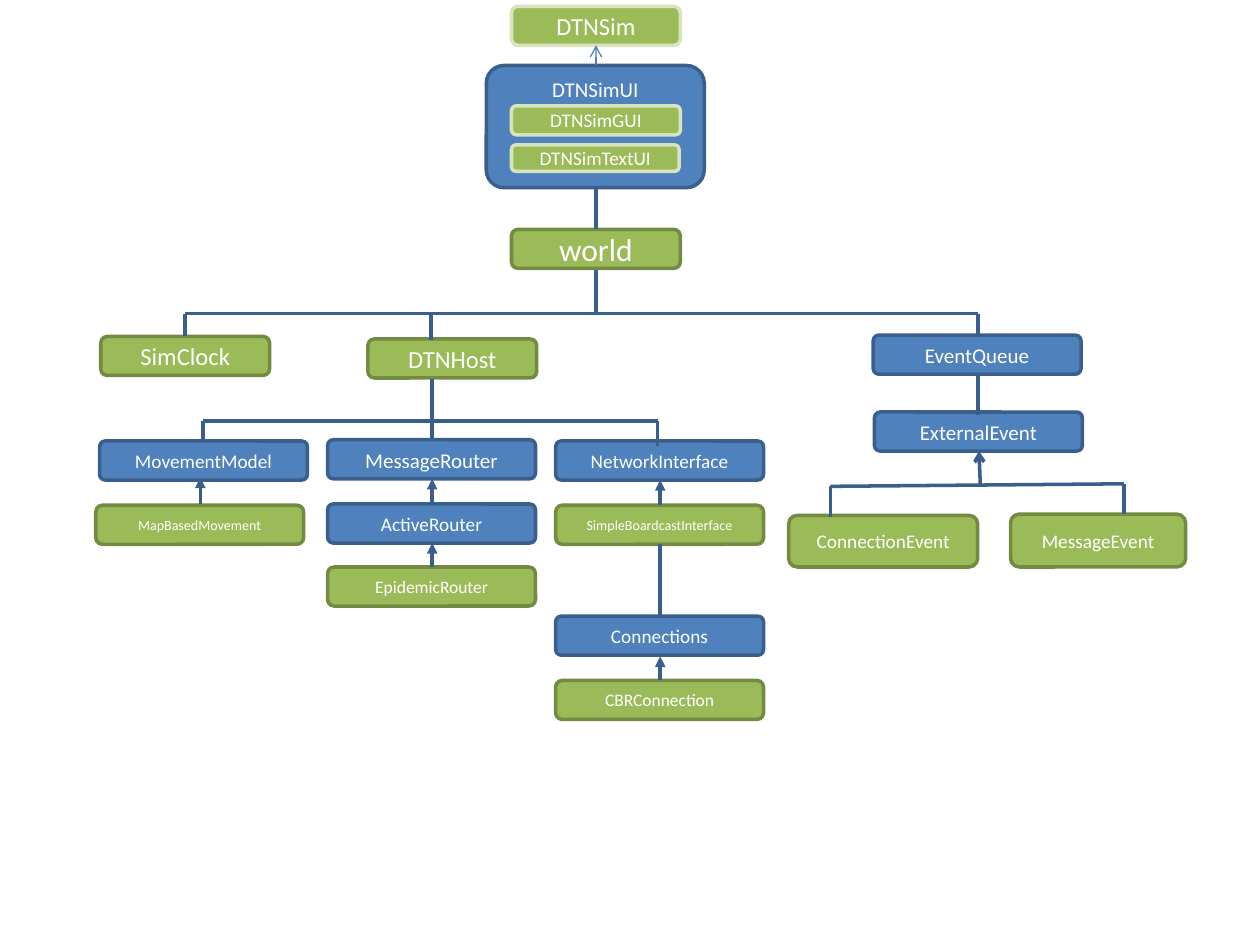
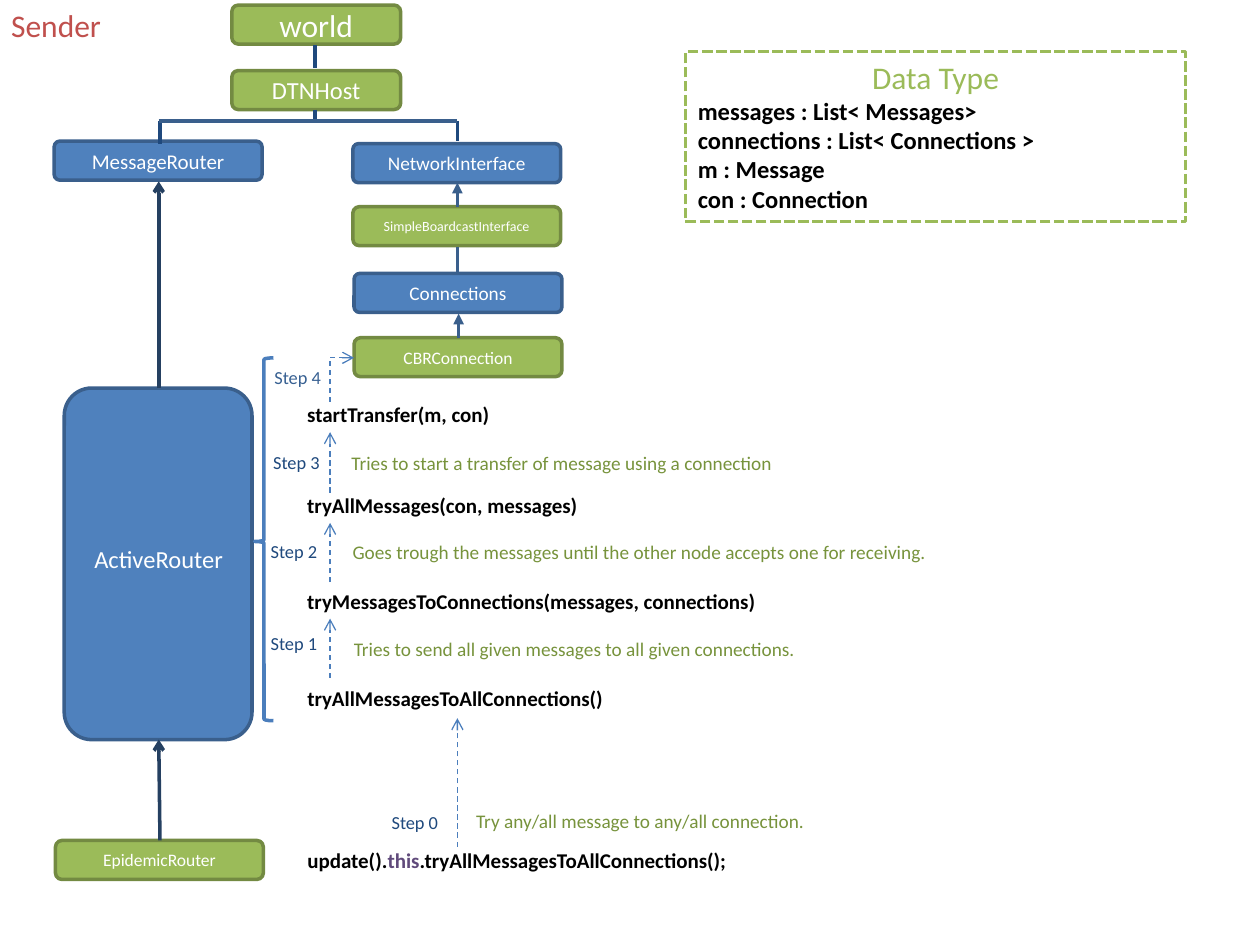
from dataclasses import dataclass
from typing import Optional

from pptx import Presentation
from pptx.dml.color import RGBColor
from pptx.enum.dml import MSO_LINE
from pptx.enum.shapes import MSO_CONNECTOR, MSO_SHAPE
from pptx.enum.text import MSO_ANCHOR, MSO_AUTO_SIZE, PP_ALIGN
from pptx.oxml.ns import qn
from pptx.oxml.xmlchemy import OxmlElement
from pptx.util import Inches, Pt

FONT = "Calibri"
COLORS = {
    "white": "FFFFFF", "black": "000000", "blue": "4F81BD", "blue_edge": "3A5F8C",
    "green": "9BBB59", "green_edge": "738A42", "pale_green": "D7E4BD",
    "thin": "4B7EBC", "navy": "1F497D", "deep": "254061", "step": "376092",
    "note": "77933C", "purple": "604A7B", "red": "C0504D",
}
BOX_H = 0.31


@dataclass(frozen=True)
class Style:
    """Look of a rounded box."""
    fill: str
    edge: str
    adj: float
    anchor: MSO_ANCHOR


ABSTRACT = Style("blue", "blue_edge", 0.146, MSO_ANCHOR.TOP)
CONCRETE = Style("green", "green_edge", 0.167, MSO_ANCHOR.MIDDLE)
PALE = Style("green", "pale_green", 0.167, MSO_ANCHOR.MIDDLE)


@dataclass(frozen=True)
class Box:
    """Rounded box of the class tree."""
    text: str
    x: float
    y: float
    size: float
    style: Style
    w: float = 1.65
    h: float = BOX_H


@dataclass(frozen=True)
class Wire:
    """Chain of straight segments, with an optional arrowhead at its end."""
    points: tuple
    color: str = "blue_edge"
    width: float = 2
    head: Optional[str] = None
    dashed: bool = False


@dataclass(frozen=True)
class Step:
    """Dashed call step with its label and note."""
    label: str
    label_at: tuple
    arrow: tuple
    note: str
    note_at: tuple
    note_w: float


def rgb(name: str) -> RGBColor:
    """Return a named colour."""
    return RGBColor.from_string(COLORS[name])


def add_text(tf, text: str, *, size: float, color: str, bold: bool = False,
             align=PP_ALIGN.LEFT, new: bool = False) -> None:
    """Add a formatted run, in a new paragraph if asked."""
    p = tf.add_paragraph() if new else tf.paragraphs[-1]
    p.alignment = align
    r = p.add_run()
    r.text = text
    r.font.name = FONT
    r.font.size = Pt(size)
    r.font.bold = bold
    r.font.color.rgb = rgb(color)


def add_outline(s, kind, x: float, y: float, w: float, h: float, edge: str,
                fill: Optional[str] = None):
    """Add a preset shape with a two point outline."""
    sp = s.shapes.add_shape(kind, Inches(x), Inches(y), Inches(w), Inches(h))
    sp.shadow.inherit = False
    if fill:
        sp.fill.solid()
        sp.fill.fore_color.rgb = rgb(fill)
    else:
        sp.fill.background()
    sp.line.color.rgb = rgb(edge)
    sp.line.width = Pt(2)
    return sp


def add_box(s, box: Box) -> None:
    """Draw one box of the class tree."""
    st = box.style
    sp = add_outline(s, MSO_SHAPE.ROUNDED_RECTANGLE, box.x, box.y, box.w, box.h,
                     st.edge, st.fill)
    sp.adjustments[0] = st.adj
    tf = sp.text_frame
    tf.word_wrap = True
    tf.vertical_anchor = st.anchor
    if box.text:
        add_text(tf, box.text, size=box.size, color="white", align=PP_ALIGN.CENTER)


def add_wire(s, wire: Wire) -> None:
    """Draw the segments of a wire."""
    segments = list(zip(wire.points, wire.points[1:]))
    for i, (a, b) in enumerate(segments):
        con = s.shapes.add_connector(MSO_CONNECTOR.STRAIGHT,
                                     *(Inches(v) for v in (*a, *b)))
        con.line.color.rgb = rgb(wire.color)
        con.line.width = Pt(wire.width)
        if wire.dashed:
            con.line.dash_style = MSO_LINE.DASH
        spPr = con.element.spPr
        if wire.head and i == len(segments) - 1:
            tail = OxmlElement("a:tailEnd")
            tail.set("type", wire.head)
            spPr.find(qn("a:ln")).append(tail)
        spPr.append(OxmlElement("a:effectLst"))


def add_label(s, x: float, y: float, w: float, h: float, *runs, size: float,
              bold: bool = False) -> None:
    """Add a one-line text box from (text, colour) runs."""
    tf = s.shapes.add_textbox(Inches(x), Inches(y), Inches(w), Inches(h)).text_frame
    tf.word_wrap = False
    tf.auto_size = MSO_AUTO_SIZE.SHAPE_TO_FIT_TEXT
    for text, color in runs:
        add_text(tf, text, size=size, color=color, bold=bold)


def add_tree(prs, boxes: list, wires: list):
    """Add a blank slide with boxes and wires."""
    s = prs.slides.add_slide(prs.slide_layouts[6])
    for box in boxes:
        add_box(s, box)
    for wire in wires:
        add_wire(s, wire)
    return s


def build_overview(prs) -> None:
    """Build the simulator class tree."""
    left, mid, right, queue = 0.79, 2.6, 4.41, 7.76
    bus, host_bus, event_bus = 2.49, 3.34, 3.84
    boxes = [
        Box("DTNSimUI", 3.86, 0.52, 12, ABSTRACT, 1.73, 0.97),
        Box("DTNSim", 4.06, 0.05, 14, PALE, 1.34),
        Box("DTNSimGUI", 4.06, 0.84, 11, PALE, 1.34, 0.23),
        Box("DTNSimTextUI", 4.06, 1.15, 11, PALE, 1.33, 0.21),
        Box("world", 4.06, 1.82, 18, CONCRETE, 1.34),
        Box("SimClock", 0.8, 2.67, 14, CONCRETE, 1.34),
        Box("DTNHost", 2.92, 2.69, 14, CONCRETE, 1.34),
        Box("EventQueue", 6.93, 2.66, 12, ABSTRACT),
        Box("ExternalEvent", 6.94, 3.27, 12, ABSTRACT),
        Box("ConnectionEvent", 6.26, 4.09, 11, CONCRETE, 1.5, 0.41),
        Box("MessageEvent", 8.02, 4.08, 11, CONCRETE, 1.39, 0.42),
        Box("MovementModel", left, 3.5, 11, ABSTRACT),
        Box("MapBasedMovement", 0.76, 4.01, 8, CONCRETE),
        Box("MessageRouter", mid, 3.49, 12, ABSTRACT),
        Box("ActiveRouter", mid, 4, 11, ABSTRACT),
        Box("EpidemicRouter", mid, 4.5, 10, CONCRETE),
        Box("NetworkInterface", right, 3.5, 11, ABSTRACT),
        Box("SimpleBoardcastInterface", right, 4.01, 8, CONCRETE),
        Box("Connections", right, 4.89, 11, ABSTRACT),
        Box("CBRConnection", right, 5.4, 10, CONCRETE),
    ]
    wires = [
        Wire(((4.73, 0.52), (4.73, 0.36)), "thin", 0.75, "arrow"),
        Wire(((4.73, 1.82), (4.73, 1.49))),
        Wire(((4.73, 2.14), (4.73, bus))),
        Wire(((1.47, 2.67), (1.47, bus), (queue, bus), (queue, 2.66))),
        Wire(((3.42, bus), (3.42, 2.7))),
        Wire(((3.43, 3.01), (3.43, 3.49))),
        Wire(((1.61, 3.5), (1.61, host_bus), (5.22, host_bus), (5.22, 3.54))),
        Wire(((queue, 2.98), (queue, 3.29))),
        Wire(((6.59, 4.1), (6.59, 3.86), (8.92, event_bus), (8.92, 4.08))),
        Wire(((7.78, event_bus), (7.77, 3.58)), head="arrow"),
        Wire(((5.24, 4.32), (5.24, 4.89))),
    ]
    inherits = ((1.59, 4, 3.79), (3.43, 4, 3.8), (3.43, 4.5, 4.31),
                (5.24, 4.01, 3.81), (5.24, 5.4, 5.21))
    wires += [Wire(((x, y0), (x, y1)), head="triangle") for x, y0, y1 in inherits]
    add_tree(prs, boxes, wires)


def build_sender(prs) -> None:
    """Build the sender call sequence."""
    bus, call_x = 0.96, 2.34
    boxes = [
        Box("world", 1.84, 0.04, 18, CONCRETE, 1.34),
        Box("DTNHost", 1.84, 0.56, 14, CONCRETE, 1.34),
        Box("MessageRouter", 0.43, 1.12, 12, ABSTRACT),
        Box("", 0.51, 3.08, 14, ABSTRACT, 1.49, 2.79),
        Box("EpidemicRouter", 0.44, 6.67, 10, CONCRETE),
        Box("NetworkInterface", 2.8, 1.14, 11, ABSTRACT),
        Box("SimpleBoardcastInterface", 2.8, 1.64, 8, CONCRETE),
        Box("Connections", 2.81, 2.17, 11, ABSTRACT),
        Box("CBRConnection", 2.81, 2.68, 10, CONCRETE),
    ]
    wires = [
        Wire(((2.5, 0.36), (2.5, 0.54)), "navy"),
        Wire(((2.5, 0.87), (2.5, bus)), "navy"),
        Wire(((1.27, bus), (1.27, 1.14)), "navy"),
        Wire(((3.63, bus), (3.63, 1.12)), "navy"),
        Wire(((1.26, bus), (3.63, bus))),
        Wire(((1.27, 6.67), (1.26, 5.87)), "deep", head="arrow"),
        Wire(((1.26, 3.08), (1.26, 1.44)), "deep", head="arrow"),
        Wire(((3.63, 1.64), (3.63, 1.45)), head="triangle"),
        Wire(((3.63, 1.96), (3.63, 2.17))),
        Wire(((3.64, 2.68), (3.64, 2.49)), head="triangle"),
        Wire(((2.62, 3.19), (2.62, 2.84), (2.81, 2.84)), "thin", 0.75, "arrow", True),
    ]
    s = add_tree(prs, boxes, wires)

    brace = add_outline(s, MSO_SHAPE.LEFT_BRACE, 2.02, 2.84, 0.15, 2.88, "thin")
    brace.adjustments[0] = 0.083
    brace.adjustments[1] = 0.506

    steps = [
        Step("Step 0", (3.01, 6.39), (3.63, 6.72, 5.7),
             "Try any/all message to any/all connection.", (3.68, 6.37), 2.84),
        Step("Step 1", (2.05, 4.97), (2.62, 5.38, 4.91),
             "Tries to send all given messages to all given connections.",
             (2.71, 5.01), 3.73),
        Step("Step 2", (2.05, 4.24), (2.62, 4.62, 4.15),
             "Goes trough the messages until the other node accepts one for receiving.",
             (2.7, 4.24), 4.78),
        Step("Step 3", (2.07, 3.53), (2.62, 3.91, 3.43),
             "Tries to start a transfer of message using a connection",
             (2.69, 3.53), 3.58),
    ]
    for st in steps:
        x, y0, y1 = st.arrow
        add_wire(s, Wire(((x, y0), (x, y1)), "thin", 0.75, "arrow", True))
        add_label(s, *st.label_at, 0.58, 0.28, (st.label, "navy"), size=10.5)
        add_label(s, *st.note_at, st.note_w, 0.29, (st.note, "note"), size=11)
    add_label(s, 2.08, 2.86, 0.58, 0.28, ("Step 4", "step"), size=10.5)

    calls = [
        (3.14, 1.66, "startTransfer(m, con)"),
        (3.86, 2.37, "tryAllMessages(con, messages)"),
        (4.62, 3.8, "tryMessagesToConnections(messages, connections)"),
        (5.39, 2.58, "tryAllMessagesToAllConnections()"),
    ]
    for y, w, text in calls:
        add_label(s, call_x, y, w, 0.3, (text, "black"), size=12, bold=True)
    add_label(s, call_x, 6.68, 3.55, 0.3, ("update().", "black"), ("this", "purple"),
              (".tryAllMessagesToAllConnections();", "black"), size=12, bold=True)
    add_label(s, 0.65, 4.27, 1.24, 0.34, ("ActiveRouter", "white"), size=14)
    add_label(s, -0.01, 0, 0.92, 0.4, ("Sender", "red"), size=18)

    sp = add_outline(s, MSO_SHAPE.RECTANGLE, 5.44, 0.41, 3.97, 1.35, "green")
    sp.line.dash_style = MSO_LINE.SQUARE_DOT
    tf = sp.text_frame
    tf.word_wrap = True
    tf.vertical_anchor = MSO_ANCHOR.TOP
    add_text(tf, "Data Type", size=18, color="green", align=PP_ALIGN.CENTER)
    for text in ("messages : List< Messages>", "connections : List< Connections >",
                 "m : Message", "con : Connection"):
        add_text(tf, text, size=14, color="black", bold=True, new=True)


def main() -> None:
    """Build and save the presentation."""
    prs = Presentation()
    prs.slide_width, prs.slide_height = Inches(10), Inches(7.5)
    build_overview(prs)
    build_sender(prs)
    prs.save("out.pptx")


main()
